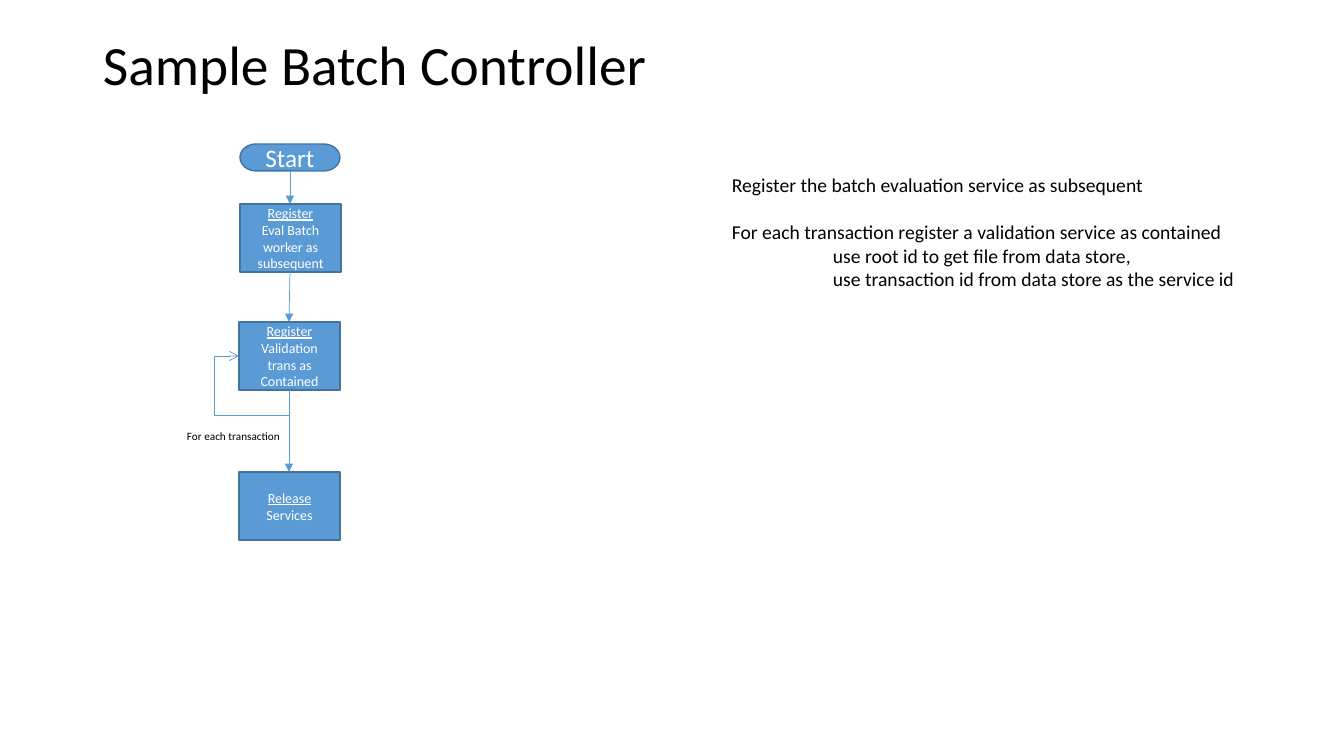
from dataclasses import dataclass

from lxml.etree import SubElement
from pptx import Presentation
from pptx.dml.color import RGBColor
from pptx.enum.shapes import MSO_CONNECTOR as Connector, MSO_SHAPE as Preset
from pptx.enum.text import MSO_ANCHOR as Anchor, PP_ALIGN as Align
from pptx.oxml.ns import qn
from pptx.util import Emu, Pt


@dataclass(frozen=True)
class Theme:
    """Colours, font and type sizes of the slide."""
    font: str = "Calibri"
    black: str = "000000"
    white: str = "FFFFFF"
    blue: str = "5B9BD5"
    outline: str = "43739E"
    title: float = 39.6
    start: float = 18
    notes: float = 14
    step: float = 10
    label: float = 8
    outline_width: float = 1
    arrow_width: float = 0.5


THEME = Theme()
PIXEL = 914400 / 100.8
SLIDE_SIZE = (1344, 756)

TITLE = ("Sample Batch Controller", (93, 40, 1159, 54))
LOOP_LABEL = ("For each transaction", (177, 424, 123, 24))
NOTES_BOX = (722, 168, 557, 129)
NOTES_INDENT = 101
NOTES_GAP = 17  # points
# text, indent level, starts a new group
NOTES = [
    ("Register the batch evaluation service as subsequent", 0, False),
    ("For each transaction register a validation service as contained", 0, True),
    ("use root id to get file from data store, ", 1, False),
    ("use transaction id from data store as the service id", 1, False),
]

# preset, box, type size, runs as (text, underlined)
STEPS = [
    (Preset.FLOWCHART_TERMINATOR, (240, 144, 100, 27), THEME.start,
     [("Start", False)]),
    (Preset.FLOWCHART_PROCESS, (240, 204, 101, 68), THEME.step,
     [("Register", True), ("\n", False), ("Eval Batch worker as subsequent", False)]),
    (Preset.FLOWCHART_PROCESS, (239, 322, 101, 68), THEME.step,
     [("Register", True), (" Validation trans as Contained", False)]),
    (Preset.FLOWCHART_PROCESS, (239, 472, 101, 68), THEME.step,
     [("Release ", True), ("Services", False)]),
]
LOOP_STEP = 2
LOOP_REACH = 25


def px(length):
    """Turn pixels into EMU."""
    return Emu(round(length * PIXEL))


def add_run(paragraph, text, size, color, underline=False):
    """Append one styled run, or a line break for a newline."""
    if text == "\n":
        paragraph.add_line_break()
        return
    run = paragraph.add_run()
    run.text = text
    run.font.name = THEME.font
    run.font.size = Pt(size)
    run.font.underline = underline
    run.font.color.rgb = RGBColor.from_string(color)


def add_text_box(slide, box):
    """Add a wrapping text box and return its text frame."""
    frame = slide.shapes.add_textbox(*map(px, box)).text_frame
    frame.word_wrap = True
    return frame


def add_step(slide, preset, box, size, runs):
    """Add one flowchart step with centred text."""
    shape = slide.shapes.add_shape(preset, *map(px, box))
    shape.shadow.inherit = False
    shape.fill.solid()
    shape.fill.fore_color.rgb = RGBColor.from_string(THEME.blue)
    shape.line.color.rgb = RGBColor.from_string(THEME.outline)
    shape.line.width = Pt(THEME.outline_width)
    frame = shape.text_frame
    frame.word_wrap = True
    frame.vertical_anchor = Anchor.MIDDLE
    paragraph = frame.paragraphs[0]
    paragraph.alignment = Align.CENTER
    for text, underline in runs:
        add_run(paragraph, text, size, THEME.white, underline)


def add_arrow(slide, kind, start, end, head):
    """Add a thin connector with an arrowhead at its end."""
    arrow = slide.shapes.add_connector(kind, *map(px, start + end))
    arrow.line.color.rgb = RGBColor.from_string(THEME.blue)
    arrow.line.width = Pt(THEME.arrow_width)
    properties = arrow.element.spPr
    SubElement(properties.find(qn("a:ln")), qn("a:tailEnd"), type=head)
    SubElement(properties, qn("a:effectLst"))
    return arrow


def add_loop(slide, box):
    """Lead an arrow from the bottom of a step back to its left side."""
    left, top, width, height = box
    across, down = height // 2, width // 2
    middle_x, middle_y = left + down / 2, top + height * 3 / 4
    # Unrotated frame: a quarter turn brings it onto the step's lower left.
    frame_left, frame_top = middle_x - across / 2, middle_y - down / 2
    arrow = add_arrow(slide, Connector.ELBOW, (frame_left + across, frame_top),
                      (frame_left, frame_top + down), "arrow")
    properties = arrow.element.spPr
    properties.find(qn("a:xfrm")).set("rot", str(90 * 60000))
    geometry = properties.find(qn("a:prstGeom"))
    geometry.set("prst", "bentConnector4")
    guides = geometry.find(qn("a:avLst"))
    bends = {"adj1": -LOOP_REACH / across, "adj2": 1 + LOOP_REACH / down}
    for name, share in bends.items():
        SubElement(guides, qn("a:gd"), name=name, fmla=f"val {round(share * 100000)}")


def add_notes(slide):
    """Add the explanation on the right."""
    frame = add_text_box(slide, NOTES_BOX)
    for index, (text, level, new_group) in enumerate(NOTES):
        paragraph = frame.add_paragraph() if index else frame.paragraphs[0]
        if new_group:
            paragraph.space_before = Pt(NOTES_GAP)
        if level:
            paragraph._p.get_or_add_pPr().set("marL", str(px(level * NOTES_INDENT)))
        add_run(paragraph, text, THEME.notes, THEME.black)


def build():
    """Build and save the slide."""
    presentation = Presentation()
    presentation.slide_width, presentation.slide_height = map(px, SLIDE_SIZE)
    slide = presentation.slides.add_slide(presentation.slide_layouts[6])

    text, box = TITLE
    frame = add_text_box(slide, box)
    frame.vertical_anchor = Anchor.MIDDLE
    frame.paragraphs[0].line_spacing = 0.9
    add_run(frame.paragraphs[0], text, THEME.title, THEME.black)

    for step in STEPS:
        add_step(slide, *step)
    boxes = [box for _, box, _, _ in STEPS]
    for upper, lower in zip(boxes, boxes[1:]):
        start = (upper[0] + upper[2] // 2, upper[1] + upper[3])
        end = (lower[0] + lower[2] // 2, lower[1])
        add_arrow(slide, Connector.STRAIGHT, start, end, "triangle")
    add_loop(slide, boxes[LOOP_STEP])

    add_notes(slide)
    text, box = LOOP_LABEL
    add_run(add_text_box(slide, box).paragraphs[0], text, THEME.label, THEME.black)
    presentation.save("out.pptx")


build()
